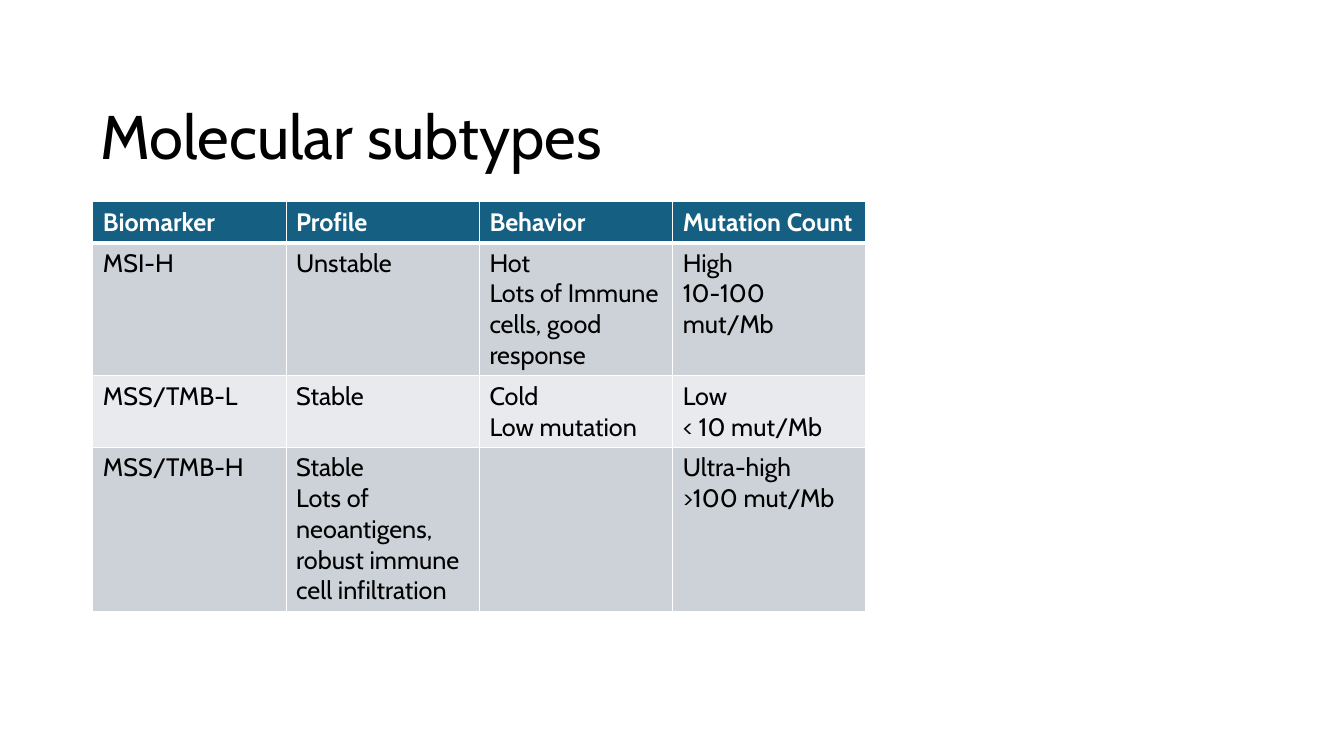
import dataclasses

import pptx
import pptx.dml.color
import pptx.enum.text
import pptx.oxml
import pptx.oxml.ns
import pptx.util

Pt = pptx.util.Pt


@dataclasses.dataclass(frozen=True)
class Theme:
    font: str = "Cabin"
    ink: str = "000000"
    paper: str = "FFFFFF"
    head: str = "156082"
    bands: tuple = ("CCD2D8", "E8EAED")
    title: int = 44
    body: int = 18
    thin: int = 1
    thick: int = 3


def rgb(code):
    return pptx.dml.color.RGBColor.from_string(code)


class Deck:
    def __init__(self, theme):
        self.theme = theme
        self.file = pptx.Presentation()
        self.file.slide_width = Pt(960)
        self.file.slide_height = Pt(540)
        self.slide = self.file.slides.add_slide(self.file.slide_layouts[5])

    def style(self, para, size, color, bold=False):
        para.alignment = pptx.enum.text.PP_ALIGN.LEFT
        font = para.font
        font.name, font.size, font.bold = self.theme.font, Pt(size), bold
        font.color.rgb = rgb(color)

    def title(self, text, left, top, width, height):
        box = self.slide.shapes.title
        box.left, box.top = Pt(left), Pt(top)
        box.width, box.height = Pt(width), Pt(height)
        frame = box.text_frame
        frame.text = text
        frame.word_wrap = True
        frame.auto_size = pptx.enum.text.MSO_AUTO_SIZE.NONE
        frame.vertical_anchor = pptx.enum.text.MSO_ANCHOR.MIDDLE
        para = frame.paragraphs[0]
        para.line_spacing = 0.9
        self.style(para, self.theme.title, self.theme.ink)

    def border(self, cell, base):
        props = cell._tc.get_or_add_tcPr()
        for side in "LRTB":
            width = base if side == "B" else self.theme.thin
            props.append(pptx.oxml.parse_xml(
                f'<a:ln{side} {pptx.oxml.ns.nsdecls("a")} w="{Pt(width)}">'
                f'<a:solidFill><a:srgbClr val="{self.theme.paper}"/></a:solidFill>'
                f'</a:ln{side}>'))

    def cell(self, cell, text, fill, color, bold, base):
        self.border(cell, base)
        cell.fill.solid()
        cell.fill.fore_color.rgb = rgb(fill)
        cell.text = text
        for para in cell.text_frame.paragraphs:
            self.style(para, self.theme.body, color, bold)

    def table(self, rows, left, top, width, height):
        look = self.theme
        grid = self.slide.shapes.add_table(
            len(rows), len(rows[0]), Pt(left), Pt(top),
            Pt(width), Pt(height * len(rows))).table
        for r, row in enumerate(rows):
            for c, text in enumerate(row):
                if r == 0:
                    args = look.head, look.paper, True, look.thick
                else:
                    band = look.bands[(r - 1) % len(look.bands)]
                    args = band, look.ink, False, look.thin
                self.cell(grid.cell(r, c), text, *args)


ROWS = [
    ["Biomarker", "Profile", "Behavior", "Mutation Count"],
    ["MSI-H", "Unstable", "Hot\nLots of Immune cells, good response",
     "High\n10-100 mut/Mb"],
    ["MSS/TMB-L", "Stable", "Cold\nLow mutation", "Low\n< 10 mut/Mb"],
    ["MSS/TMB-H",
     "Stable\nLots of neoantigens, robust immune cell infiltration",
     "", "Ultra-high\n>100 mut/Mb"],
]


def main():
    deck = Deck(Theme())
    # Heading
    deck.title("Molecular subtypes", 64.4, 47.5, 828, 104.4)
    # Subtype table; rows grow with their text
    deck.table(ROWS, 66.3, 144.2, 552.4, 29.2)
    deck.file.save("out.pptx")


if __name__ == "__main__":
    main()
